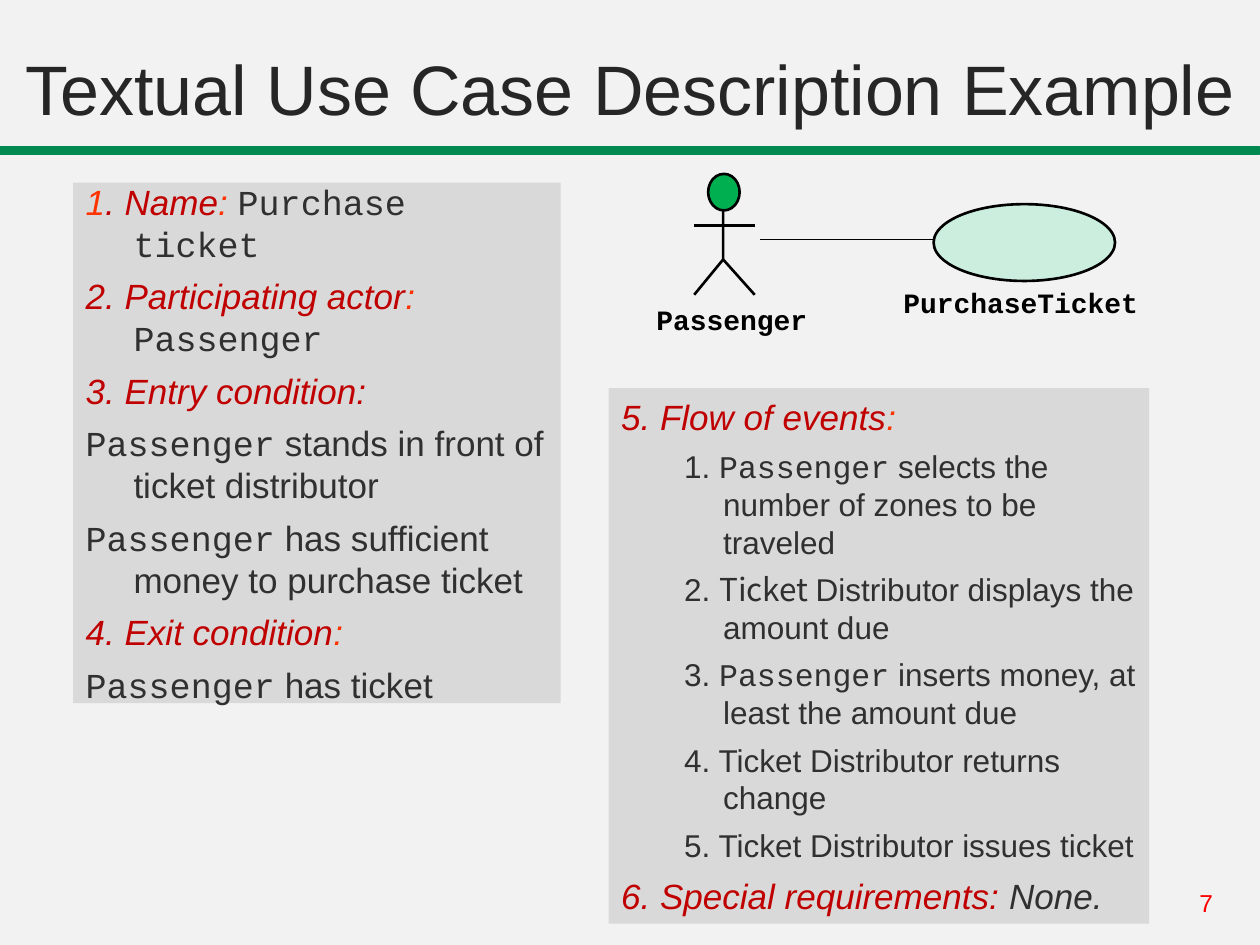
from lxml.etree import SubElement
from pptx import Presentation
from pptx.dml.color import RGBColor
from pptx.enum.shapes import MSO_CONNECTOR, MSO_SHAPE
from pptx.enum.text import MSO_ANCHOR, MSO_AUTO_SIZE, PP_ALIGN
from pptx.oxml.ns import qn
from pptx.util import Inches, Pt

COLORS = {
    "background": "F2F2F2", "bar": "018952", "panel": "D9D9D9", "title": "262626",
    "text": "303030", "heading": "C00000", "accent": "FF3300", "number": "FF0000",
    "black": "000000", "head": "00B050", "use_case": "CCEEDF",
}
SANS, MONO, CJK = "Arial", "Courier New", "Noto Sans CJK JP"

# run style: font, colour, italic
RUN_STYLES = {
    "heading": (SANS, "heading", True),
    "accent": (SANS, "accent", True),
    "note": (SANS, "text", True),
    "plain": (SANS, "text", False),
    "code": (MONO, "text", False),
    "cjk": (CJK, "text", False),
}
# paragraph level: size, left margin, hanging indent, space before
LEVELS = [(20, 0.38, 0.38, 6), (18, 0.81, 0.31, 5.5)]

CONDITIONS = [
    (0, [("1", "accent"), (". Name", "heading"), (": ", "accent"), ("Purchase ticket", "code")]),
    (0, [("2. Participating actor", "heading"), (": ", "accent"), ("Passenger", "code")]),
    (0, [("3. Entry condition:", "heading")]),
    (0, [("Passenger", "code"), (" stands in front of ticket distributor", "plain")]),
    (0, [("Passenger", "code"), (" has sufficient money to purchase ticket", "plain")]),
    (0, [("4. Exit condition", "heading"), (":", "accent")]),
    (0, [("Passenger", "code"), (" has ticket", "plain")]),
]
EVENTS = [
    (0, [("5. Flow of events", "heading"), (":", "accent")]),
    (1, [("1. ", "plain"), ("Passenger", "code"),
         (" selects the number of zones to be traveled", "plain")]),
    (1, [("2. ", "plain"), ("Ticket ", "cjk"),
         ("Distributor displays the amount due", "plain")]),
    (1, [("3. ", "plain"), ("Passenger", "code"),
         (" inserts money, at least the amount due", "plain")]),
    (1, [("4. Ticket Distributor returns change", "plain")]),
    (1, [("5. Ticket Distributor issues ticket", "plain")]),
    (0, [("6. Special requirements:", "heading"), (" None.", "note")]),
]


def rgb(name):
    return RGBColor.from_string(COLORS[name])


def style_run(run, font, size, color, bold=False, italic=False):
    run.font.name, run.font.size = font, Pt(size)
    run.font.bold, run.font.italic = bold, italic
    run.font.color.rgb = rgb(color)


class SlideBuilder:
    def __init__(self, slide):
        self.slide = slide
        self.shapes = slide.shapes
        slide.background.fill.solid()
        slide.background.fill.fore_color.rgb = rgb("background")

    def start_group(self):
        """Send the elements that follow into a new group."""
        self.shapes = self.slide.shapes.add_group_shape().shapes

    def end_group(self):
        self.shapes = self.slide.shapes

    def place(self, shape, box):
        shape.left, shape.top, shape.width, shape.height = map(Inches, box)

    def outline(self, shape, color, width):
        shape.line.color.rgb = rgb(color)
        shape.line.width = Pt(width)

    def title(self, text, box):
        shape = self.slide.shapes.title
        self.place(shape, box)
        frame = shape.text_frame
        frame.text = text
        frame.auto_size = MSO_AUTO_SIZE.NONE
        frame.vertical_anchor = MSO_ANCHOR.BOTTOM
        paragraph = frame.paragraphs[0]
        paragraph.alignment = PP_ALIGN.CENTER
        style_run(paragraph.runs[0], SANS, 40, "title")

    def panel(self, index, box, content):
        """Fill a body placeholder with (level, runs) paragraphs."""
        shape = self.slide.placeholders[index]
        self.place(shape, box)
        shape.fill.solid()
        shape.fill.fore_color.rgb = rgb("panel")
        frame = shape.text_frame
        frame.auto_size = MSO_AUTO_SIZE.NONE
        frame.vertical_anchor = MSO_ANCHOR.MIDDLE
        for number, (level, runs) in enumerate(content):
            paragraph = frame.add_paragraph() if number else frame.paragraphs[0]
            size, margin, hanging, space = LEVELS[level]
            paragraph.level = level
            paragraph.space_before = Pt(space if number else 0)
            properties = paragraph._p.get_or_add_pPr()
            properties.set("marL", str(Inches(margin)))
            properties.set("indent", str(-Inches(hanging)))
            SubElement(properties, qn("a:buNone"))
            for text, style in runs:
                run = paragraph.add_run()
                run.text = text
                font, color, italic = RUN_STYLES[style]
                style_run(run, font, size, color, italic=italic)

    def shape(self, kind, box, fill, line, width):
        shape = self.shapes.add_shape(kind, *map(Inches, box))
        shape.shadow.inherit = False
        shape.fill.solid()
        shape.fill.fore_color.rgb = rgb(fill)
        self.outline(shape, line, width)

    def line(self, start, end, width=1.5):
        connector = self.shapes.add_connector(
            MSO_CONNECTOR.STRAIGHT, *map(Inches, start + end))
        SubElement(connector._element.spPr, qn("a:effectLst"))
        self.outline(connector, "black", width)

    def polyline(self, start, *points):
        builder = self.shapes.build_freeform(*map(Inches, start))
        builder.add_line_segments([tuple(map(Inches, point)) for point in points], close=False)
        shape = builder.convert_to_shape()
        shape.shadow.inherit = False
        shape.fill.background()
        self.outline(shape, "black", 1.5)

    def text(self, text, box, font, size, color, bold=False, inset=True):
        frame = self.shapes.add_textbox(*map(Inches, box)).text_frame
        frame.text = text
        frame.word_wrap = inset
        if not inset:
            frame.margin_left = frame.margin_right = 0
            frame.margin_top = frame.margin_bottom = 0
        style_run(frame.paragraphs[0].runs[0], font, size, color, bold)

    def label(self, text, box):
        self.text(text, box, MONO, 16, "black", bold=True, inset=False)


def main():
    presentation = Presentation()
    presentation.slide_width, presentation.slide_height = Inches(10), Inches(7.5)
    builder = SlideBuilder(presentation.slides.add_slide(presentation.slide_layouts[3]))

    builder.shape(MSO_SHAPE.RECTANGLE, (0, 1.17, 10, 0.05), "bar", "bar", 1.75)
    builder.text("7", (9.42, 7, 0.58, 0.34), SANS, 14, "number")
    builder.title("Textual Use Case Description Example", (0, 0, 10, 1.08))
    builder.panel(1, (0.58, 1.45, 3.87, 4.13), CONDITIONS)
    builder.panel(2, (4.83, 3.08, 4.29, 4.25), EVENTS)

    # Actor
    left, middle, right, hip, foot = 5.51, 5.74, 5.99, 2.06, 2.34
    builder.start_group()
    builder.polyline((middle, 1.58), (middle, hip), (left, foot))
    builder.line((middle, hip), (right, foot))
    builder.line((left, 1.79), (right, 1.79))
    builder.shape(MSO_SHAPE.OVAL, (5.62, 1.38, 0.25, 0.29), "head", "black", 1.5)
    builder.label("Passenger", (5.21, 2.4, 1.2, 0.27))

    # Use case
    builder.start_group()
    builder.shape(MSO_SHAPE.OVAL, (7.41, 1.62, 1.44, 0.61), "use_case", "black", 1.5)
    builder.label("PurchaseTicket", (7.17, 2.27, 1.87, 0.27))
    builder.end_group()
    builder.line((6.03, 1.9), (7.42, 1.9), width=1)

    presentation.save("out.pptx")


if __name__ == "__main__":
    main()
